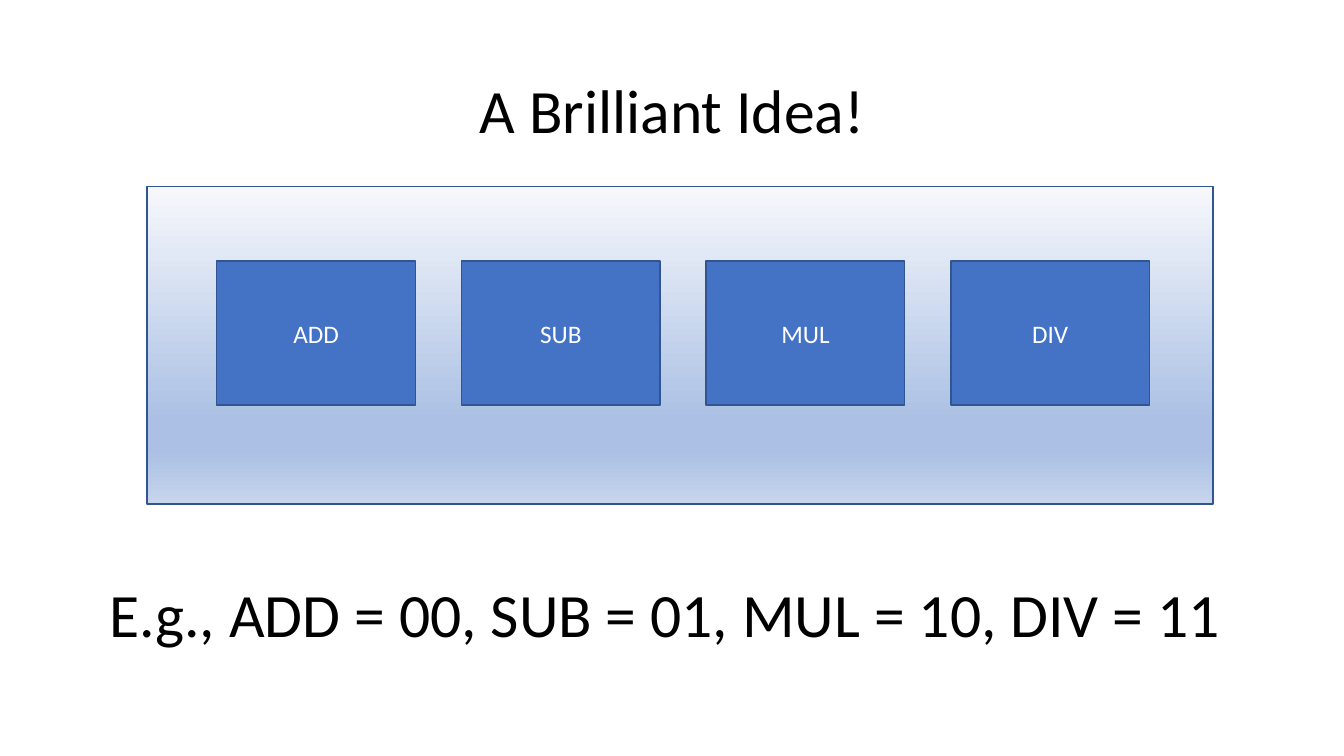
from dataclasses import dataclass

from lxml import etree
from pptx import Presentation
from pptx.dml.color import RGBColor
from pptx.enum.shapes import MSO_SHAPE
from pptx.enum.text import MSO_ANCHOR, PP_ALIGN
from pptx.oxml.ns import qn
from pptx.util import Inches, Pt

RECTANGLE = MSO_SHAPE.RECTANGLE
MIDDLE = MSO_ANCHOR.MIDDLE
CENTER = PP_ALIGN.CENTER


@dataclass(frozen=True)
class Theme:
    font: str = "Calibri"
    ink: str = "000000"
    label: str = "FFFFFF"
    block: str = "4472C4"
    outline: str = "325491"
    outline_width: float = 1
    headline_size: int = 44
    label_size: int = 18
    panel_stops: tuple = ((0, "F6F8FC"), (74, "ABC0E4"), (83, "ABC0E4"), (100, "C7D5ED"))


THEME = Theme()
OPERATIONS = ("ADD", "SUB", "MUL", "DIV")


def write_text(shape, text, size, color, line_spacing):
    frame = shape.text_frame
    frame.word_wrap = True
    frame.vertical_anchor = MIDDLE
    para = frame.paragraphs[0]
    para.alignment = CENTER
    para.line_spacing = line_spacing
    span = para.add_run()
    span.text = text
    formats = {"name": THEME.font, "size": Pt(size)}
    for name, value in formats.items():
        setattr(span.font, name, value)
    span.font.color.rgb = RGBColor.from_string(color)


def add_headline(page, box, text):
    shape = page.shapes.add_textbox(*map(Inches, box))
    write_text(shape, text, THEME.headline_size, THEME.ink, 0.9)


def add_rectangle(page, box):
    shape = page.shapes.add_shape(RECTANGLE, *map(Inches, box))
    shape.shadow.inherit = False
    shape.line.color.rgb = RGBColor.from_string(THEME.outline)
    shape.line.width = Pt(THEME.outline_width)
    return shape


def fill_gradient(shape, stops):
    shape.fill.gradient()
    shape.fill.gradient_angle = 270
    stop_list = shape.element.spPr.find(qn("a:gradFill")).find(qn("a:gsLst"))
    for stop in list(stop_list):
        stop_list.remove(stop)
    for position, color in stops:
        stop = etree.SubElement(stop_list, qn("a:gs"), pos=str(position * 1000))
        etree.SubElement(stop, qn("a:srgbClr"), val=color)


def add_operation_panel(page, box, operations):
    left, top, width, height = box
    fill_gradient(add_rectangle(page, box), THEME.panel_stops)
    block_width, block_height = 1.97, 1.43
    inset_x, inset_y, pitch = 0.69, 0.74, 2.427
    for index, operation in enumerate(operations):
        block_left = left + inset_x + index * pitch
        block = add_rectangle(page, (block_left, top + inset_y, block_width, block_height))
        block.fill.solid()
        block.fill.fore_color.rgb = RGBColor.from_string(THEME.block)
        write_text(block, operation, THEME.label_size, THEME.label, 1.0)


def main():
    deck = Presentation()
    deck.slide_width = Inches(13.33)
    deck.slide_height = Inches(7.5)
    page = deck.slides.add_slide(deck.slide_layouts[6])
    add_headline(page, (0.92, 0.4, 11.5, 1.45), "A Brilliant Idea!")
    add_operation_panel(page, (1.46, 1.85, 10.57, 3.15), OPERATIONS)
    add_headline(page, (0.92, 5.4, 11.5, 1.45), "E.g., ADD = 00, SUB = 01, MUL = 10, DIV = 11 ")
    deck.save("out.pptx")


if __name__ == "__main__":
    main()
